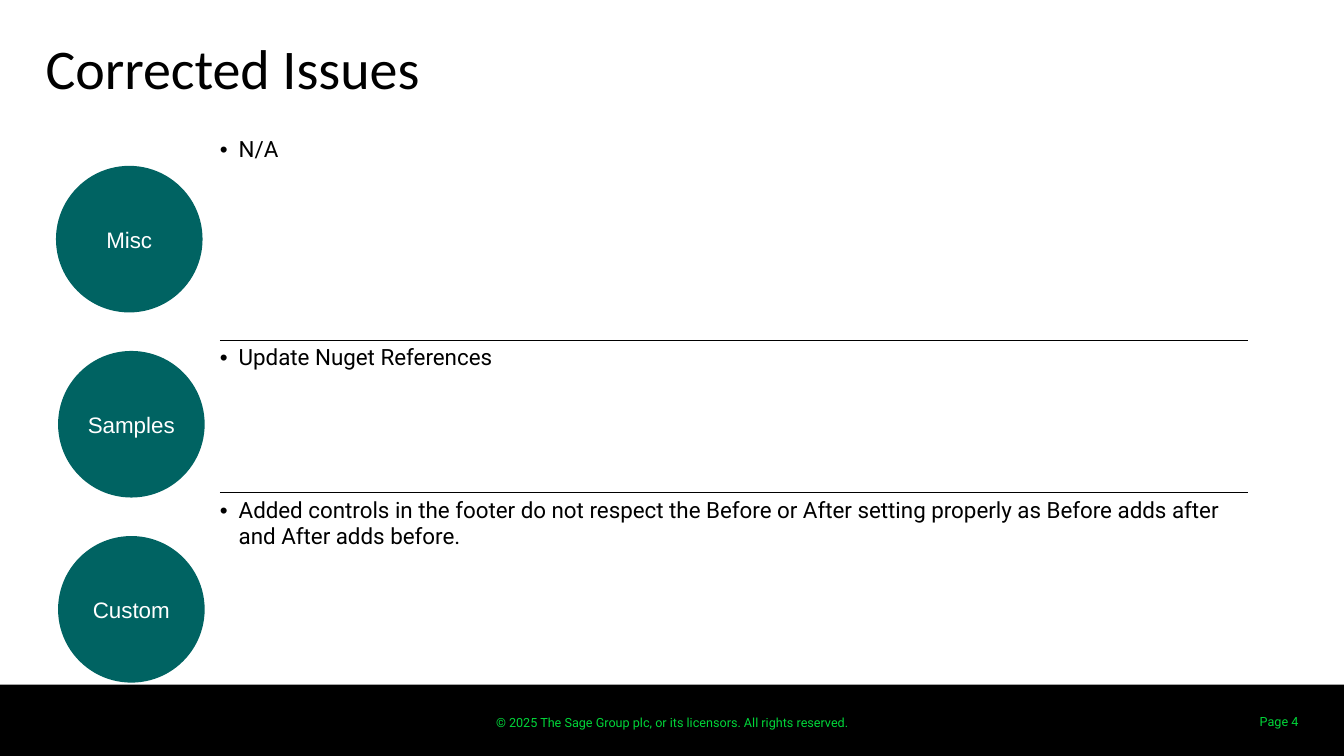
from pptx import Presentation
from pptx.dml.color import RGBColor
from pptx.enum.shapes import MSO_SHAPE
from pptx.enum.text import MSO_ANCHOR, PP_ALIGN
from pptx.oxml import parse_xml
from pptx.oxml.ns import nsdecls
from pptx.util import Pt

TOP, MIDDLE = MSO_ANCHOR.TOP, MSO_ANCHOR.MIDDLE
LEFT, CENTER, RIGHT = PP_ALIGN.LEFT, PP_ALIGN.CENTER, PP_ALIGN.RIGHT
BLACK = RGBColor(0x00, 0x00, 0x00)
WHITE = RGBColor(0xFF, 0xFF, 0xFF)
TEAL = RGBColor(0x00, 0x63, 0x62)
GREEN = RGBColor(0x00, 0xD6, 0x39)

# Content
TITLE = "Corrected Issues"
COPYRIGHT = "© 2025 The Sage Group plc, or its licensors. All rights reserved."
PAGE = "Page 4"
# Category, circle left, row height, issue
ISSUES = [
    ("Misc", 40, 149, "N/A"),
    ("Samples", 41.5, 109, "Update Nuget References"),
    ("Custom", 41.5, 109,
     "Added controls in the footer do not respect the Before or After setting "
     "properly as Before adds after and After adds before."),
]

# Layout in points
WIDTH, HEIGHT = 960, 540
FOOTER_TOP = 489
CIRCLE_TOP, CIRCLE_SIZE, CIRCLE_STEP = 118.5, 104.7, 132.2
TABLE_LEFT, TABLE_TOP, TABLE_WIDTH = 157, 94, 734.4
INDENT = 13.5


def write(tf, text, font, size, color, align, anchor, side=0, edge=0):
    tf.word_wrap = True
    tf.vertical_anchor = anchor
    tf.margin_left = tf.margin_right = Pt(side)
    tf.margin_top = tf.margin_bottom = Pt(edge)
    p = tf.paragraphs[0]
    p.text = text
    p.alignment = align
    p.font.name, p.font.size, p.font.color.rgb = font, Pt(size), color


def add_filled(s, kind, box, color):
    sp = s.shapes.add_shape(kind, *map(Pt, box))
    sp.shadow.inherit = False
    sp.fill.solid()
    sp.fill.fore_color.rgb = color
    sp.line.fill.background()
    return sp


def set_borders(cell, ruled):
    tc_pr = cell._tc.get_or_add_tcPr()
    for side in "LRTB":
        fill = (f'<a:solidFill><a:srgbClr val="{BLACK}"/></a:solidFill>'
                if side in ruled else "<a:noFill/>")
        tc_pr.append(parse_xml(
            f'<a:ln{side} {nsdecls("a")} w="{Pt(1)}">{fill}</a:ln{side}>'))


def write_bullet(cell, text):
    p = cell.text_frame.paragraphs[0]
    p.text = text
    p.space_after = Pt(3)
    p_pr = p._p.get_or_add_pPr()
    p_pr.set("marL", str(Pt(INDENT)))
    p_pr.set("indent", str(-Pt(INDENT)))
    for xml in (f'<a:buFont {nsdecls("a")} typeface="Arial"/>',
                f'<a:buChar {nsdecls("a")} char="•"/>'):
        p_pr.append(parse_xml(xml))
    p.font.name, p.font.size, p.font.color.rgb = "Roboto", Pt(16), BLACK


prs = Presentation()
prs.slide_width, prs.slide_height = Pt(WIDTH), Pt(HEIGHT)
s = prs.slides.add_slide(prs.slide_layouts[5])

# Footer
add_filled(s, MSO_SHAPE.RECTANGLE,
           (0, FOOTER_TOP, WIDTH, HEIGHT - FOOTER_TOP), BLACK)
for text, box, align, anchor, side in (
        (COPYRIGHT, (354, 507, 252, 18), CENTER, TOP, 0),
        (PAGE, (869, 501, 65.5, 29), RIGHT, MIDDLE, 7.2)):
    tb = s.shapes.add_textbox(*map(Pt, box))
    write(tb.text_frame, text, "Roboto", 9, GREEN, align, anchor, side, 3.6)

# Title
title = s.shapes.title
title.left, title.top, title.width, title.height = map(Pt, (32.5, 24, 894, 47))
write(title.text_frame, TITLE, "Calibri", 40, BLACK, LEFT, TOP)

# Category circles
for i, (category, left, _, _) in enumerate(ISSUES):
    circle = add_filled(s, MSO_SHAPE.OVAL,
                        (left, CIRCLE_TOP + i * CIRCLE_STEP,
                         CIRCLE_SIZE, CIRCLE_SIZE), TEAL)
    write(circle.text_frame, category, "Arial", 16, WHITE, CENTER, MIDDLE)

# Issue table, ruled between rows only
table = s.shapes.add_table(
    len(ISSUES), 1, Pt(TABLE_LEFT), Pt(TABLE_TOP), Pt(TABLE_WIDTH),
    Pt(sum(issue[2] for issue in ISSUES))).table
table.first_row = table.horz_banding = False
for i, (_, _, height, text) in enumerate(ISSUES):
    table.rows[i].height = Pt(height)
    cell = table.cell(i, 0)
    cell.margin_left = cell.margin_right = 0
    cell.margin_top = cell.margin_bottom = Pt(3.6)
    set_borders(cell, ("T" if i else "") + ("B" if i < len(ISSUES) - 1 else ""))
    cell.fill.background()
    write_bullet(cell, text)

prs.save("out.pptx")
